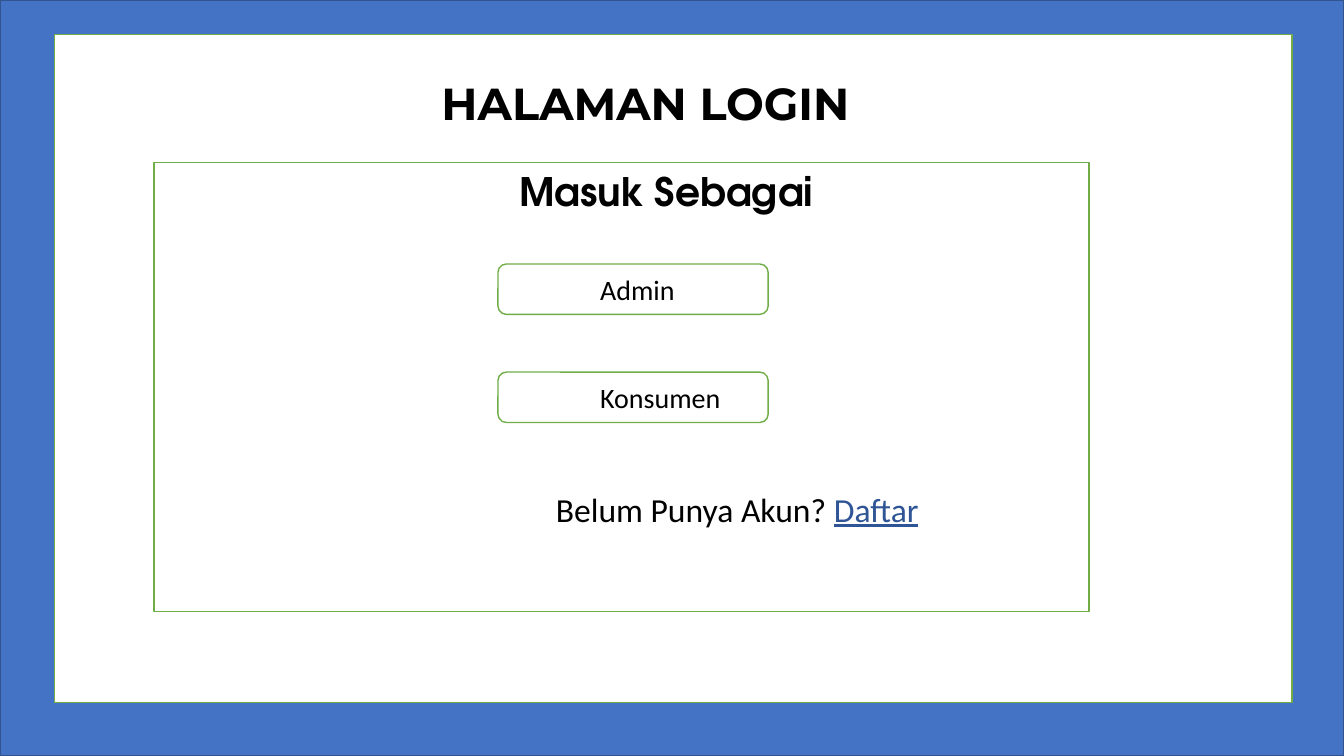
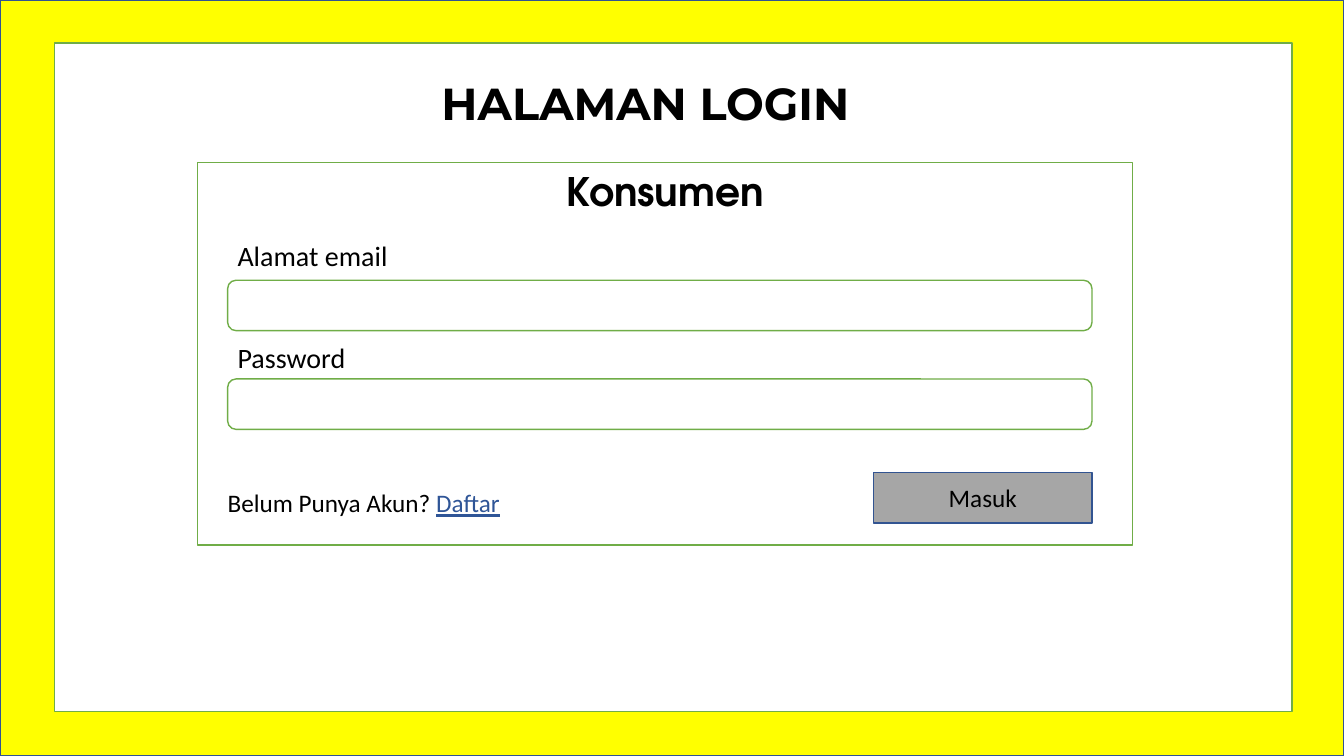
from dataclasses import dataclass

from pptx import Presentation
from pptx.dml.color import RGBColor
from pptx.enum import shapes as es, text as et
from pptx.util import Pt

HUES = {
    "blue": "4472C4", "yellow": "FFFF00", "white": "FFFFFF", "gray": "A6A6A6",
    "navy": "325491", "green": "70AD47", "black": "000000", "link": "2F5597",
}
BODY, TITLE, HEAD = "Calibri", "Montserrat", "TeX Gyre Adventor"
WIDE, HIGH, ROW = 960, 540, 36
INSET, INDENT = 7.2, 64
RECT, ROUND = es.MSO_SHAPE.RECTANGLE, es.MSO_SHAPE.ROUNDED_RECTANGLE
TOP, MIDDLE = et.MSO_ANCHOR.TOP, et.MSO_ANCHOR.MIDDLE
LEFT, CENTER = et.PP_ALIGN.LEFT, et.PP_ALIGN.CENTER


@dataclass(frozen=True)
class Area:
    left: float
    top: float
    width: float
    height: float

    def points(self) -> list:
        return [Pt(n) for n in (self.left, self.top, self.width, self.height)]


@dataclass(frozen=True)
class Style:
    size: float
    font: str = BODY
    bold: bool = False
    align: et.PP_ALIGN = LEFT
    anchor: et.MSO_ANCHOR = MIDDLE
    indent: float = 0


@dataclass(frozen=True)
class Field:
    label: str
    text_top: float
    top: float


@dataclass(frozen=True)
class Page:
    back: str
    frame_top: float
    panel: Area
    head: str
    indent: float
    prompt: Area
    size: float


def color(name: str) -> RGBColor:
    return RGBColor.from_string(HUES[name])


def paint(run, style: Style, hue: str = "black") -> None:
    run.font.size, run.font.name = Pt(style.size), style.font
    run.font.bold = style.bold
    run.font.color.rgb = color(hue)


def write(shape, text: str, style: Style) -> None:
    frame = shape.text_frame
    frame.text = text
    frame.word_wrap = True
    frame.vertical_anchor = style.anchor
    frame.margin_left = Pt(INSET + style.indent)
    para = frame.paragraphs[0]
    para.alignment = style.align
    for run in para.runs:
        paint(run, style)


def block(slide, area: Area, fill: str = "white", line: str = "green", kind=RECT):
    shape = slide.shapes.add_shape(kind, *area.points())
    shape.shadow.inherit = False
    shape.fill.solid()
    shape.fill.fore_color.rgb = color(fill)
    shape.line.color.rgb = color(line)
    shape.line.width = Pt(1)
    return shape


def label(slide, area: Area, text: str, style: Style):
    shape = slide.shapes.add_textbox(*area.points())
    write(shape, text, style)
    return shape


def start(deck, page: Page):
    slide = deck.slides.add_slide(deck.slide_layouts[6])
    block(slide, Area(0, 0, WIDE, HIGH), page.back, "navy")
    block(slide, Area(39, page.frame_top, 884, 477.5))
    label(slide, Area(308.3, 50.4, 501, 46), "HALAMAN LOGIN", Style(32, TITLE, True, anchor=TOP))
    panel = block(slide, page.panel)
    write(panel, page.head, Style(28, HEAD, True, CENTER, TOP, page.indent))
    style = Style(page.size)
    prompt = label(slide, page.prompt, "Belum Punya Akun? ", style)
    link = prompt.text_frame.paragraphs[0].add_run()
    link.text = "Daftar"
    paint(link, style, "link")
    link.font.underline = True
    return slide


def choice(deck) -> None:
    page = Page("blue", 24.5, Area(110, 116, 668, 321), "Masuk Sebagai", INDENT,
                Area(390, 345.5, 300, ROW), 24)
    slide = start(deck, page)
    for row, name in enumerate(("Admin", "Konsumen")):
        button = block(slide, Area(355.7, 188.6 + row * 77.2, 193, ROW), kind=ROUND)
        write(button, name, Style(20, indent=INDENT))


def login(deck) -> None:
    page = Page("yellow", 30.7, Area(141.2, 116, 668, 273.5), "Konsumen", 0,
                Area(155.6, 341, 260, ROW), 18)
    slide = start(deck, page)
    for field in (Field("Alamat email", 167, 200.2), Field("Password", 239.8, 270.7)):
        block(slide, Area(162.6, field.top, 617.4, ROW), kind=ROUND)
        label(slide, Area(162.6, field.text_top, 199, 32), field.label, Style(20, anchor=TOP))
    button = block(slide, Area(624, 337.5, 156, ROW), "gray", "navy")
    write(button, "Masuk", Style(18, align=CENTER))


def main() -> None:
    deck = Presentation()
    deck.slide_width, deck.slide_height = Pt(WIDE), Pt(HIGH)
    choice(deck)
    login(deck)
    deck.save("out.pptx")


if __name__ == "__main__":
    main()
